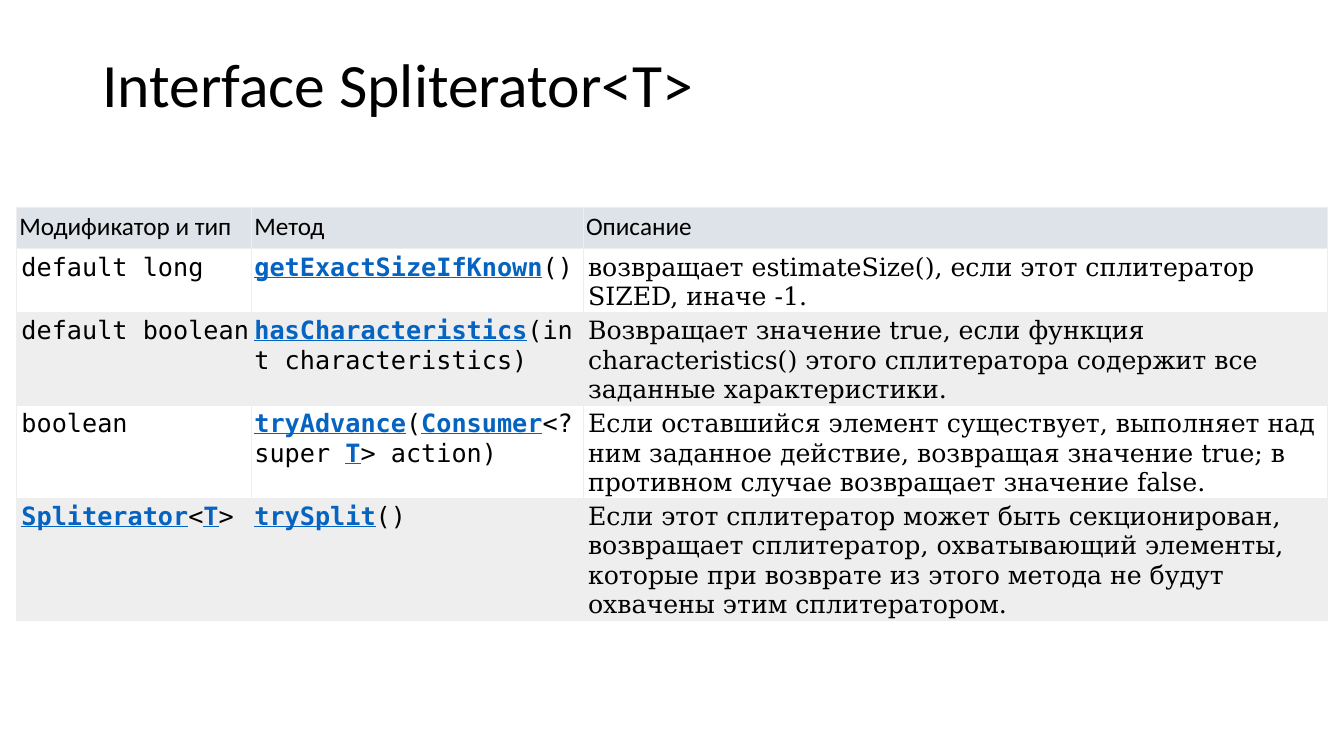
import lxml.etree
import pptx
import pptx.dml.color
import pptx.enum.text
import pptx.oxml.ns
import pptx.util

Cm = pptx.util.Cm
Pt = pptx.util.Pt
RGBColor = pptx.dml.color.RGBColor

BLACK = RGBColor(0x00, 0x00, 0x00)
LINK_BLUE = RGBColor(0x05, 0x63, 0xC1)
HEADER_GREY = RGBColor(0xDE, 0xE3, 0xE9)
STRIPE_GREY = RGBColor(0xEE, 0xEE, 0xEF)
WHITE = RGBColor(0xFF, 0xFF, 0xFF)
BORDER_GREY = RGBColor(0xEE, 0xEE, 0xEE)

HEADINGS = ("Модификатор и тип", "Метод", "Описание")
LINK_MARK = "*"
METHODS = (
    ("default long", "*getExactSizeIfKnown*()",
     "возвращает estimateSize(), если этот сплитератор SIZED, иначе -1."),
    ("default boolean", "*hasCharacteristics*(int characteristics)",
     "Возвращает значение true, если функция characteristics() этого "
     "сплитератора содержит все заданные характеристики."),
    ("boolean", "*tryAdvance*(*Consumer*<? super *T*> action)",
     "Если оставшийся элемент существует, выполняет над ним заданное действие, "
     "возвращая значение true; в противном случае возвращает значение false."),
    ("*Spliterator*<*T*>", "*trySplit*()",
     "Если этот сплитератор может быть секционирован, возвращает сплитератор, "
     "охватывающий элементы, которые при возврате из этого метода не будут "
     "охвачены этим сплитератором."),
)
COLUMN_WIDTHS = (5.92, 8.36, 18.77)
COLUMN_FONTS = ("DejaVu Sans Mono", "DejaVu Sans Mono", "DejaVu Serif")
COLUMN_INSETS = (0.13, 0.08, 0.13)
ROW_HEIGHTS = (1.04, 1.04, 1.5, 1.04, 1.5)


def write_text(frame, text, font="Calibri", size=18, before=0, after=0, line_spacing=1.0):
    paragraph = frame.paragraphs[0]
    paragraph.space_before = Pt(before)
    paragraph.space_after = Pt(after)
    paragraph.line_spacing = line_spacing
    for index, piece in enumerate(text.split(LINK_MARK)):
        if not piece:
            continue
        is_link = index % 2 == 1
        run = paragraph.add_run()
        run.text = piece
        run.font.name = font
        run.font.size = Pt(size)
        run.font.bold = is_link
        run.font.underline = is_link
        run.font.color.rgb = LINK_BLUE if is_link else BLACK


def draw_borders(cell):
    qn = pptx.oxml.ns.qn
    properties = cell._tc.get_or_add_tcPr()
    for position, side in enumerate(("a:lnL", "a:lnR", "a:lnT", "a:lnB")):
        border = lxml.etree.Element(qn(side), w=str(Pt(0.6)))
        fill = lxml.etree.SubElement(border, qn("a:solidFill"))
        lxml.etree.SubElement(fill, qn("a:srgbClr"), val=str(BORDER_GREY))
        properties.insert(position, border)


def fill_cell(cell, text, color, inset, **text_format):
    cell.margin_left = Cm(inset)
    cell.margin_top = Cm(0.1)
    cell.margin_right = cell.margin_bottom = Cm(0.03)
    cell.fill.solid()
    cell.fill.fore_color.rgb = color
    draw_borders(cell)
    write_text(cell.text_frame, text, **text_format)


def add_title(slide, left, top, width, height):
    title = slide.shapes.add_textbox(left, top, width, height).text_frame
    title.word_wrap = True
    title.vertical_anchor = pptx.enum.text.MSO_ANCHOR.TOP
    write_text(title, "Interface Spliterator<T>", size=44, line_spacing=0.9)


def add_method_table(slide, left, top, width, height):
    methods = slide.shapes.add_table(
        len(METHODS) + 1, len(HEADINGS), left, top, width, height).table
    for column, column_width in zip(methods.columns, COLUMN_WIDTHS):
        column.width = Cm(column_width)
    for row, row_height in zip(methods.rows, ROW_HEIGHTS):
        row.height = Cm(row_height)
    for column, heading in enumerate(HEADINGS):
        fill_cell(methods.cell(0, column), heading, HEADER_GREY, 0.08)
    for row, method in enumerate(METHODS, start=1):
        stripe = WHITE if row % 2 else STRIPE_GREY
        for column, text in enumerate(method):
            is_description = column == 2
            fill_cell(methods.cell(row, column), text, stripe, COLUMN_INSETS[column],
                      font=COLUMN_FONTS[column],
                      before=2.2 if is_description else 0,
                      after=1.5 if is_description else 0)


def main():
    presentation = pptx.Presentation()
    presentation.slide_width = Cm(33.87)
    presentation.slide_height = Cm(19.05)
    slide = presentation.slides.add_slide(presentation.slide_layouts[6])
    add_method_table(slide, Cm(0.41), Cm(5.23), Cm(sum(COLUMN_WIDTHS)), Cm(sum(ROW_HEIGHTS)))
    add_title(slide, Cm(2.33), Cm(1.24), Cm(29.21), Cm(3.68))
    presentation.save("out.pptx")


if __name__ == "__main__":
    main()
